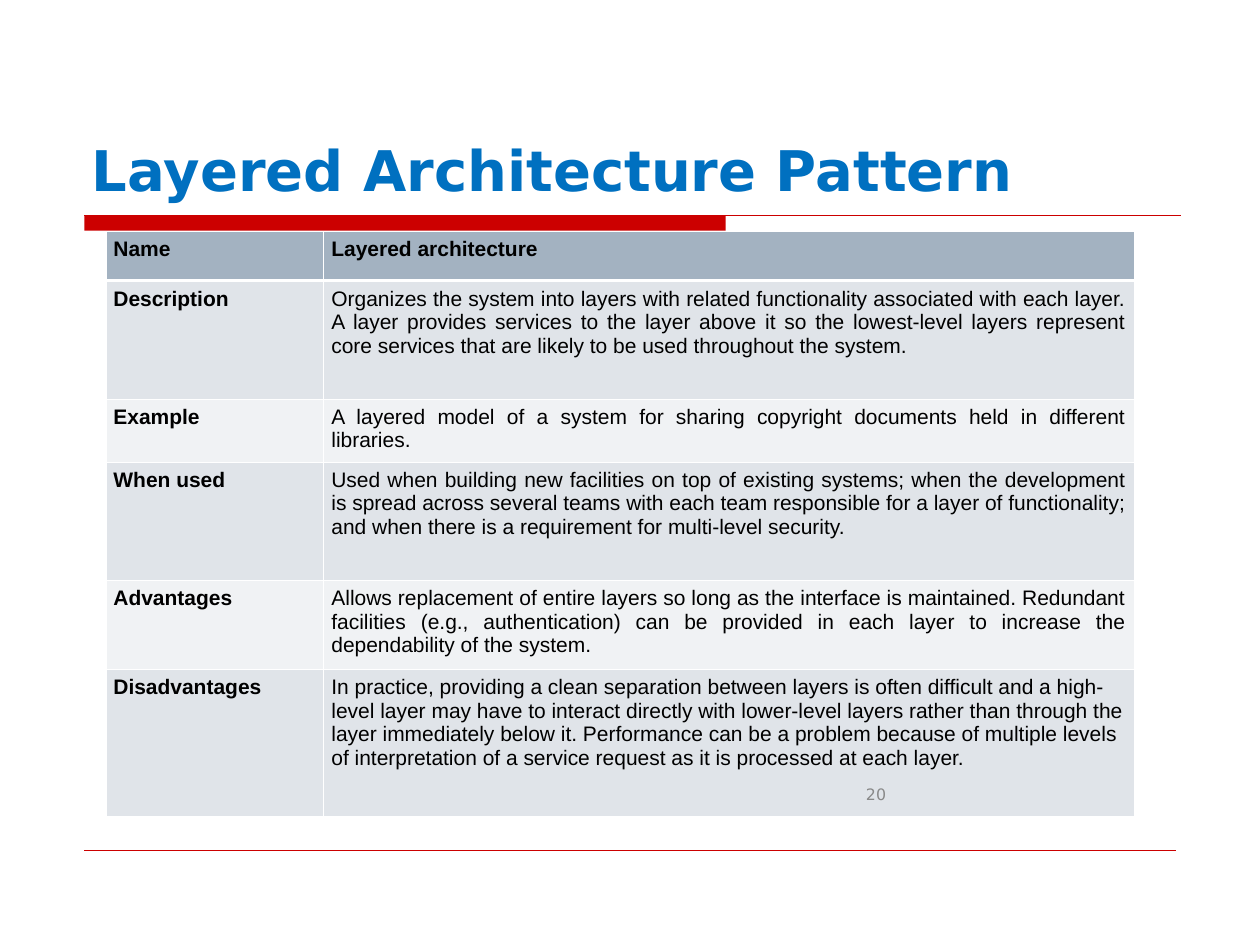
from pptx import Presentation
from pptx.dml.color import RGBColor
from pptx.enum.shapes import MSO_CONNECTOR, MSO_SHAPE
from pptx.enum.text import MSO_ANCHOR, PP_ALIGN
from pptx.oxml.xmlchemy import OxmlElement
from pptx.util import Inches, Pt

LEFT, RIGHT, JUSTIFY = PP_ALIGN.LEFT, PP_ALIGN.RIGHT, PP_ALIGN.JUSTIFY
BOTTOM, MIDDLE = MSO_ANCHOR.BOTTOM, MSO_ANCHOR.MIDDLE
RECTANGLE, STRAIGHT = MSO_SHAPE.RECTANGLE, MSO_CONNECTOR.STRAIGHT

SLIDE_WIDTH, SLIDE_HEIGHT = Inches(10), Inches(7.5)
RED, BLUE, GRAY, BLACK, WHITE = "CC0000", "0070C0", "898989", "000000", "FFFFFF"
HEADER_FILL, BAND_FILLS = "A3B2C1", ("F0F2F4", "E0E4E9")
TITLE_FONT, TABLE_FONT = "DejaVu Sans", "Arial"
THIN_BORDER, HEADER_BORDER = 0.45, 1.47

COLUMN_SHARES = (17.3, 64.3)
PATTERN_ROWS = (
    (5.2, "Name", "Layered architecture"),
    (12.53, "Description",
     "Organizes the system into layers with related functionality associated with "
     "each layer. A layer provides services to the layer above it so the lowest-level "
     "layers represent core services that are likely to be used throughout the system."),
    (6.27, "Example",
     "A layered model of a system for sharing copyright documents held in different "
     "libraries."),
    (12.53, "When used",
     "Used when building new facilities on top of existing systems; when the "
     "development is spread across several teams with each team responsible for a "
     "layer of functionality; and when there is a requirement for multi-level security."),
    (9.4, "Advantages",
     "Allows replacement of entire layers so long as the interface is maintained. "
     "Redundant facilities (e.g., authentication) can be provided in each layer to "
     "increase the dependability of the system."),
    (15.6, "Disadvantages",
     "In practice, providing a clean separation between layers is often difficult and "
     "a high-level layer may have to interact directly with lower-level layers rather "
     "than through the layer immediately below it. Performance can be a problem "
     "because of multiple levels of interpretation of a service request as it is "
     "processed at each layer."),
)


def across(percent):
    """Return a percentage of the slide width as a length."""
    return int(SLIDE_WIDTH * percent / 100)


def down(percent):
    """Return a percentage of the slide height as a length."""
    return int(SLIDE_HEIGHT * percent / 100)


def box(left, top, width, height):
    """Turn four percentages of the slide size into a position and size."""
    return across(left), down(top), across(width), down(height)


def color(hex_string):
    """Return the colour for a hex string."""
    return RGBColor.from_string(hex_string)


def write(text_frame, text, size, font, hex_color, bold=False, alignment=LEFT):
    """Put one formatted paragraph into a text frame."""
    text_frame.word_wrap = True
    text_frame.text = text
    paragraph = text_frame.paragraphs[0]
    paragraph.alignment = alignment
    style = paragraph.runs[0].font
    style.size, style.name, style.bold = Pt(size), font, bold
    style.color.rgb = color(hex_color)


def add_text(slide, bounds, anchor, text, size, hex_color, **options):
    """Add a text box anchored as asked."""
    text_frame = slide.shapes.add_textbox(*box(*bounds)).text_frame
    text_frame.vertical_anchor = anchor
    write(text_frame, text, size, TITLE_FONT, hex_color, **options)


def add_bar(slide, bounds):
    """Add a solid red bar without an outline."""
    shape = slide.shapes.add_shape(RECTANGLE, *box(*bounds))
    shape.shadow.inherit = False
    shape.fill.solid()
    shape.fill.fore_color.rgb = color(RED)
    shape.line.fill.background()


def add_rule(slide, left, right, top, width):
    """Add a horizontal red line."""
    connector = slide.shapes.add_connector(
        STRAIGHT, across(left), down(top), across(right), down(top))
    connector.line.color.rgb = color(RED)
    connector.line.width = Pt(width)
    connector._element.spPr.append(OxmlElement("a:effectLst"))


def set_borders(cell, top, bottom):
    """Draw white borders on the four sides of a cell."""
    properties = cell._tc.get_or_add_tcPr()
    sides = (("L", THIN_BORDER), ("R", THIN_BORDER), ("T", top), ("B", bottom))
    for position, (side, width) in enumerate(sides):
        border = OxmlElement(f"a:ln{side}")
        border.set("w", str(int(Pt(width))))
        fill = OxmlElement("a:solidFill")
        white = OxmlElement("a:srgbClr")
        white.set("val", WHITE)
        fill.append(white)
        border.append(fill)
        properties.insert(position, border)


def fill_cell(cell, row, column, text):
    """Write and style one cell of the pattern table."""
    last_row = len(PATTERN_ROWS) - 1
    cell.margin_left = cell.margin_right = Inches(0.06)
    cell.margin_top = cell.margin_bottom = Inches(0.05)
    cell.fill.solid()
    cell.fill.fore_color.rgb = color(BAND_FILLS[row % 2] if row else HEADER_FILL)
    set_borders(cell,
                HEADER_BORDER if row == 1 else THIN_BORDER,
                HEADER_BORDER if row == 0 else THIN_BORDER)
    write(cell.text_frame, text, 12, TABLE_FONT, BLACK,
          bold=row == 0 or column == 0,
          alignment=LEFT if (row, column) == (last_row, 1) else JUSTIFY)


def add_pattern_table(slide, left, top):
    """Add the table that describes the pattern."""
    height = sum(row[0] for row in PATTERN_ROWS)
    table = slide.shapes.add_table(
        len(PATTERN_ROWS), len(COLUMN_SHARES),
        *box(left, top, sum(COLUMN_SHARES), height)).table
    for column, share in zip(table.columns, COLUMN_SHARES):
        column.width = across(share)
    for row, (share, *texts) in enumerate(PATTERN_ROWS):
        table.rows[row].height = down(share)
        for column, text in enumerate(texts):
            fill_cell(table.cell(row, column), row, column, text)


def main():
    """Build the slide and save it."""
    presentation = Presentation()
    presentation.slide_width, presentation.slide_height = SLIDE_WIDTH, SLIDE_HEIGHT
    slide = presentation.slides.add_slide(presentation.slide_layouts[6])
    add_bar(slide, (6.7, 22.8, 50.9, 1.6))
    add_rule(slide, 6.7, 93.7, 22.8, 0.75)
    add_rule(slide, 6.7, 93.3, 90, 0.25)
    add_text(slide, (6.3, 4.4, 87.5, 17.73), BOTTOM,
             "Layered Architecture Pattern", 32, BLUE, bold=True)
    add_pattern_table(slide, 8.4, 24.5)
    add_text(slide, (53.8, 82, 17.5, 4), MIDDLE, "20", 9, GRAY, alignment=RIGHT)
    presentation.save("out.pptx")


if __name__ == "__main__":
    main()
